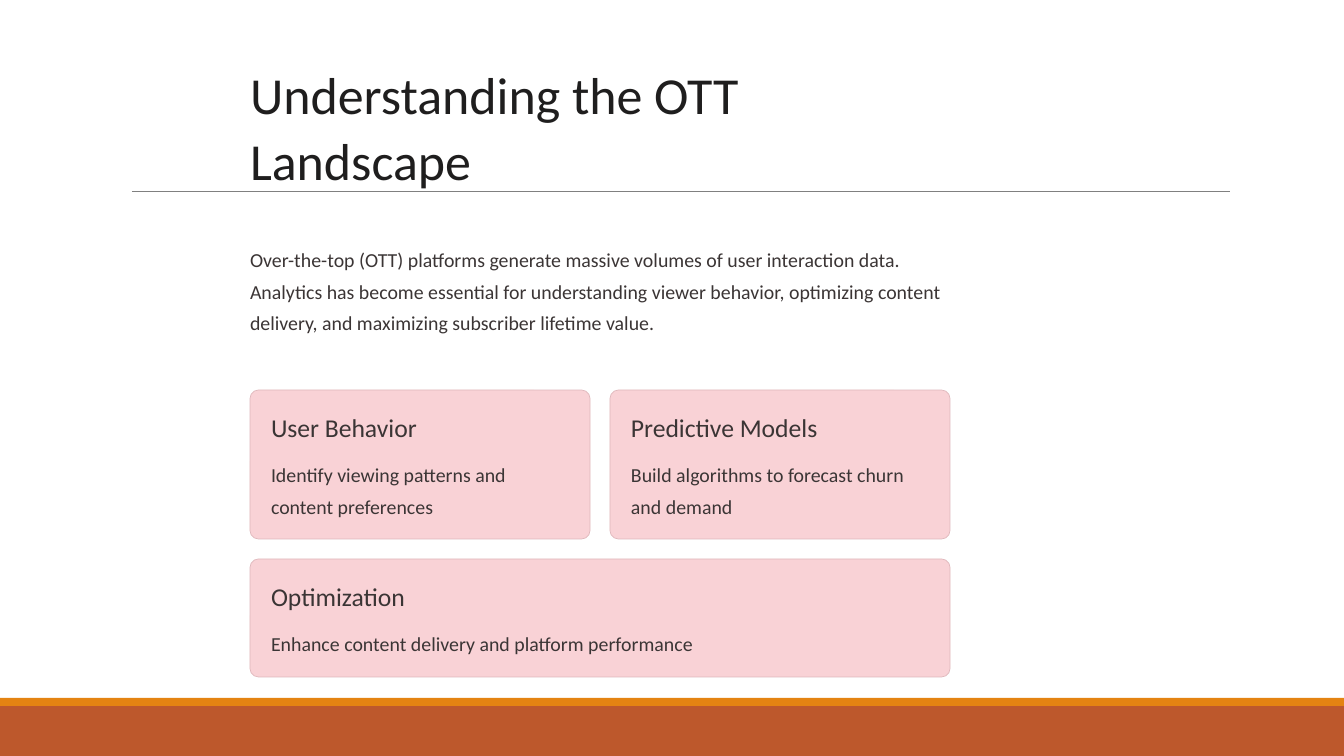
"""Build the slide that introduces the OTT landscape."""
from lxml.etree import SubElement
from pptx import Presentation
from pptx.dml.color import RGBColor
from pptx.enum.shapes import MSO_CONNECTOR, MSO_SHAPE
from pptx.oxml.ns import qn
from pptx.util import Inches, Pt

TITLE = "Understanding the OTT Landscape"
INTRO = (
    "Over-the-top (OTT) platforms generate massive volumes of user interaction data. "
    "Analytics has become essential for understanding viewer behavior, optimizing content "
    "delivery, and maximizing subscriber lifetime value."
)
CARD_ROWS = [
    (149, [
        ("User Behavior", "Identify viewing patterns and content preferences"),
        ("Predictive Models", "Build algorithms to forecast churn and demand"),
    ]),
    (118, [("Optimization", "Enhance content delivery and platform performance")]),
]
COLORS = {
    "footer": "BD582C",
    "stripe": "E48312",
    "rule": "808080",
    "title": "1F1E1E",
    "text": "3B3535",
    "card": "F9D2D6",
    "border": "DFB8BC",
}
FONT = "Calibri"
WIDTH, HEIGHT = 1344, 756
LEFT, CONTENT_W = 250, 700
CARDS_TOP, GAP, PAD, RADIUS = 390, 20, 21, 8.4


def px(n):
    return round(n * Inches(1) / 84)


def color(name):
    return RGBColor.from_string(COLORS[name])


def add_box(s, kind, x, y, w, h, fill):
    sp = s.shapes.add_shape(kind, px(x), px(y), px(w), px(h))
    sp.shadow.inherit = False
    sp.fill.solid()
    sp.fill.fore_color.rgb = color(fill)
    sp.line.fill.background()
    return sp


def add_text(s, text, x, y, w, h, size, spacing, ink="text"):
    tf = s.shapes.add_textbox(px(x), px(y), px(w), px(h)).text_frame
    tf.word_wrap = True
    tf.margin_left = tf.margin_top = tf.margin_right = tf.margin_bottom = 0
    p = tf.paragraphs[0]
    p.line_spacing = Pt(spacing)
    r = p.add_run()
    r.text = text
    r.font.name = FONT
    r.font.size = Pt(size)
    r.font.color.rgb = color(ink)


def add_card(s, heading, body, x, y, w, h):
    sp = add_box(s, MSO_SHAPE.ROUNDED_RECTANGLE, x, y, w, h, "card")
    sp.adjustments[0] = RADIUS / h
    sp.line.color.rgb = color("border")
    sp.line.width = Pt(0.6)
    inner = w - 2 * PAD
    add_text(s, heading, x + PAD, y + 20, inner, 33, 22, 28)
    add_text(s, body, x + PAD, y + 65, inner, h - 85, 17, 27)


def main():
    prs = Presentation()
    prs.slide_width, prs.slide_height = px(WIDTH), px(HEIGHT)
    s = prs.slides.add_slide(prs.slide_layouts[6])

    add_box(s, MSO_SHAPE.RECTANGLE, 0, 706, WIDTH, 50, "footer")
    add_box(s, MSO_SHAPE.RECTANGLE, 0, 698, WIDTH, 8, "stripe")
    rule = s.shapes.add_connector(MSO_CONNECTOR.STRAIGHT, px(132), px(191), px(1230), px(191))
    rule.line.color.rgb = color("rule")
    rule.line.width = Pt(0.5)
    SubElement(rule._element.spPr, qn("a:effectLst"))

    add_text(s, TITLE, LEFT, 60, CONTENT_W, 131, 44.5, 56, "title")
    add_text(s, INTRO, LEFT, 240, CONTENT_W, 128, 17, 27)

    y = CARDS_TOP
    for h, cards in CARD_ROWS:
        w = (CONTENT_W - GAP * (len(cards) - 1)) / len(cards)
        for i, (heading, body) in enumerate(cards):
            add_card(s, heading, body, LEFT + i * (w + GAP), y, w, h)
        y += h + GAP

    prs.save("out.pptx")


if __name__ == "__main__":
    main()
